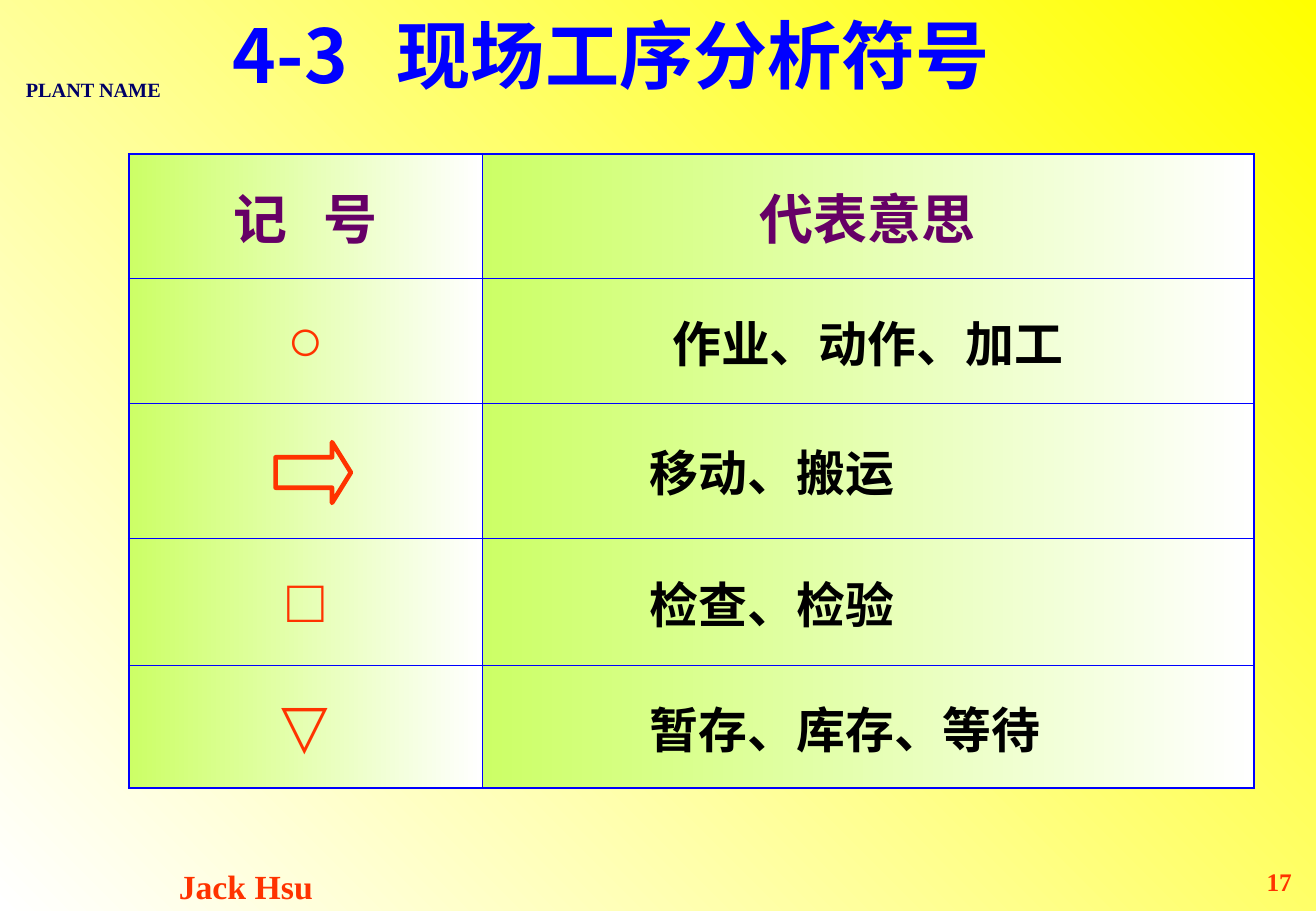
from dataclasses import dataclass
from typing import Any

from lxml import etree
from pptx import Presentation
from pptx import util as u
from pptx.dml.color import RGBColor
from pptx.enum import shapes, text
from pptx.oxml import ns

SANS, SERIF = "Noto Sans CJK SC", "Times New Roman"
BLUE, RED, PURPLE, BLACK = "0000FF", "FF3300", "660066", "000000"
LEFT, CENTER, RIGHT = text.PP_ALIGN.LEFT, text.PP_ALIGN.CENTER, text.PP_ALIGN.RIGHT
WIDTH, HEIGHT = u.Inches(10.84), u.Inches(7.5)
COLUMNS, ROWS = (26.85, 58.67), (13.6, 13.73, 14.8, 14, 13.47)
OUTER_LINE, INNER_LINE = 1.08, 0.45


@dataclass(frozen=True)
class Place:
    """A box in percent of the slide's width and height."""
    left: float
    top: float
    width: float
    height: float

    def lengths(self) -> tuple[int, int, int, int]:
        """Return left, top, width and height as lengths."""
        return across(self.left), down(self.top), across(self.width), down(self.height)


@dataclass(frozen=True)
class Label:
    """A free text with its place and format."""
    words: str
    place: Place
    style: dict[str, Any]


@dataclass(frozen=True)
class Meaning:
    """A process symbol and what it stands for."""
    symbol: str
    words: str
    align: Any = LEFT
    indent: float = 11.8


LABELS = [
    Label("Jack Hsu", Place(9.23, 94.4, 18.91, 5.6),
          dict(size=20, font=SERIF, color=RED, align=CENTER)),
    Label("PLANT NAME", Place(0.55, 7.87, 13.1, 4),
          dict(size=12, font=SERIF, color="000066", align=CENTER, wrap=False)),
    Label("4-3\t现场工序分析符号", Place(16.79, -0.8, 75.37, 13.33),
          dict(size=44, font=SANS, color=BLUE, indent=12.45, hanging=True,
               shadow=True, anchor=text.MSO_ANCHOR.MIDDLE)),
    Label("17", Place(86.62, 94.4, 12.45, 5.6),
          dict(size=15, font=SERIF, color=RED, align=RIGHT)),
]
MEANINGS = [
    Meaning("○", "作业、动作、加工", CENTER, 0),
    Meaning("", "移动、搬运"),
    Meaning("□", "检查、检验"),
    Meaning("▽", "暂存、库存、等待"),
]
TABLE_PLACE = Place(9.78, 16.93, sum(COLUMNS), sum(ROWS))
ARROW_PLACE = Place(20.94, 48.53, 5.72, 6.67)


def across(percent: float) -> int:
    """Turn a percentage of the slide's width into a length."""
    return u.Emu(round(WIDTH * percent / 100))


def down(percent: float) -> int:
    """Turn a percentage of the slide's height into a length."""
    return u.Emu(round(HEIGHT * percent / 100))


def rgb(color: str) -> RGBColor:
    """Turn a hex string into a colour."""
    return RGBColor.from_string(color)


def child(parent: Any, tag: str, **attributes: str) -> Any:
    """Append a DrawingML element."""
    return etree.SubElement(parent, ns.qn(tag), attributes)


def fill_gradient(fill: Any, start: str, end: str, angle: float) -> None:
    """Fill with a two-colour linear gradient."""
    fill.gradient()
    fill.gradient_angle = angle
    for stop, color, position in zip(fill.gradient_stops, (start, end), (0, 1)):
        stop.color.rgb = rgb(color)
        stop.position = position


def write(frame: Any, words: str, *, size: float, font: str, color: str,
          align: Any = LEFT, indent: float = 0, hanging: bool = False,
          spacing: float = 0, shadow: bool = False, wrap: bool = True,
          anchor: Any = text.MSO_ANCHOR.TOP) -> None:
    """Write one formatted bold line into a text frame."""
    frame.word_wrap = wrap
    frame.vertical_anchor = anchor
    paragraph = frame.paragraphs[0]
    paragraph.alignment = align
    properties = paragraph._p.get_or_add_pPr()
    properties.set("marL", str(across(indent)))
    properties.set("indent", str(-across(indent) if hanging else 0))
    run = paragraph.add_run()
    run.text = words
    run.font.size, run.font.bold = u.Pt(size), True
    run.font.color.rgb = rgb(color)
    run_properties = run._r.get_or_add_rPr()
    run_properties.set("spc", str(round(spacing * 100)))
    if shadow:
        effects = child(run_properties, "a:effectLst")
        outer = child(effects, "a:outerShdw", dist="25400", dir="2700000")
        child(outer, "a:srgbClr", val=BLACK)
    for script in ("a:latin", "a:ea"):
        child(run_properties, script, typeface=font)


def add_label(slide: Any, label: Label) -> None:
    """Add a free text box."""
    box = slide.shapes.add_textbox(*label.place.lengths())
    write(box.text_frame, label.words, **label.style)


def style_cell(cell: Any, row: int, column: int) -> None:
    """Draw a cell's borders and gradient."""
    properties = cell._tc.get_or_add_tcPr()
    outer_sides = {"a:lnL": column == 0, "a:lnR": column == len(COLUMNS) - 1,
                   "a:lnT": row == 0, "a:lnB": row == len(ROWS) - 1}
    for side, is_outer in outer_sides.items():
        width = u.Pt(OUTER_LINE if is_outer else INNER_LINE)
        line = child(properties, side, w=str(width))
        child(child(line, "a:solidFill"), "a:srgbClr", val=BLUE)
    fill_gradient(cell.fill, "FFFFFF", "CCFF66", 180)
    cell.vertical_anchor = text.MSO_ANCHOR.MIDDLE


def add_symbol_table(slide: Any) -> None:
    """Add the table of symbols and meanings."""
    table = slide.shapes.add_table(len(ROWS), len(COLUMNS), *TABLE_PLACE.lengths()).table
    table.first_row = table.horz_banding = False
    for column, width in zip(table.columns, COLUMNS):
        column.width = across(width)
    for row, height in zip(table.rows, ROWS):
        row.height = down(height)
    middle = text.MSO_ANCHOR.MIDDLE
    header = dict(size=32, font=SANS, color=PURPLE, align=CENTER, anchor=middle)
    write(table.cell(0, 0).text_frame, "记 号", spacing=7, **header)
    write(table.cell(0, 1).text_frame, "代表意思", **header)
    for row, meaning in enumerate(MEANINGS, 1):
        if meaning.symbol:
            write(table.cell(row, 0).text_frame, meaning.symbol, size=36, font=SERIF,
                  color=RED, align=CENTER, anchor=middle)
        write(table.cell(row, 1).text_frame, meaning.words, size=29, font=SANS,
              color=BLACK, align=meaning.align, indent=meaning.indent, anchor=middle)
    for row in range(len(ROWS)):
        for column in range(len(COLUMNS)):
            style_cell(table.cell(row, column), row, column)


def add_move_arrow(slide: Any) -> None:
    """Add the outlined arrow that stands for moving."""
    arrow = slide.shapes.add_shape(shapes.MSO_SHAPE.RIGHT_ARROW, *ARROW_PLACE.lengths())
    arrow.adjustments[1] = 0.31
    arrow.shadow.inherit = False
    arrow.fill.background()
    arrow.line.color.rgb = rgb(RED)
    arrow.line.width = u.Pt(2.75)


def main() -> None:
    """Build and save the slide."""
    presentation = Presentation()
    presentation.slide_width, presentation.slide_height = WIDTH, HEIGHT
    slide = presentation.slides.add_slide(presentation.slide_layouts[6])
    fill_gradient(slide.background.fill, "FFFF00", "FFFFFF", 225)
    for label in LABELS:
        add_label(slide, label)
    add_symbol_table(slide)
    add_move_arrow(slide)
    presentation.save("out.pptx")


if __name__ == "__main__":
    main()
